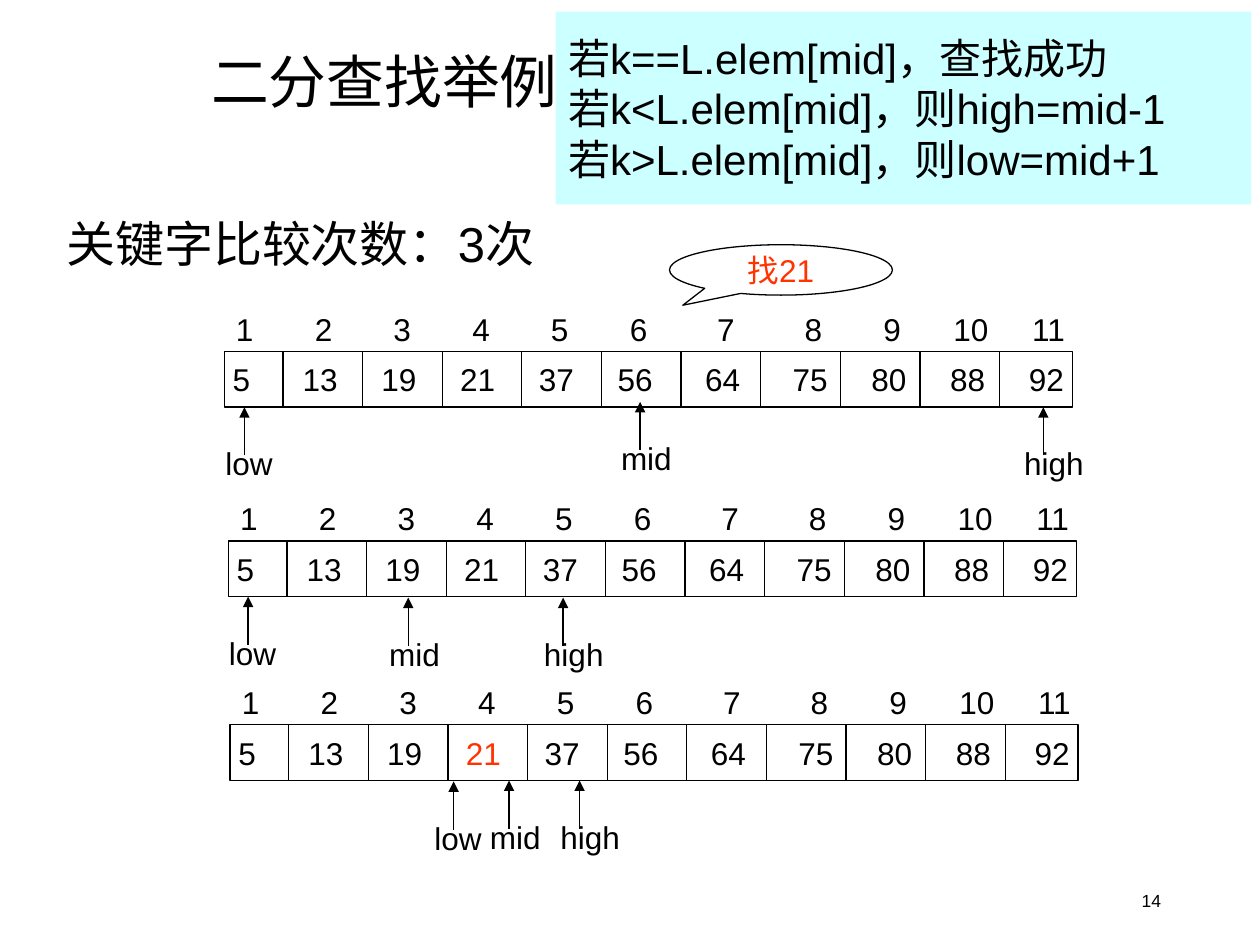
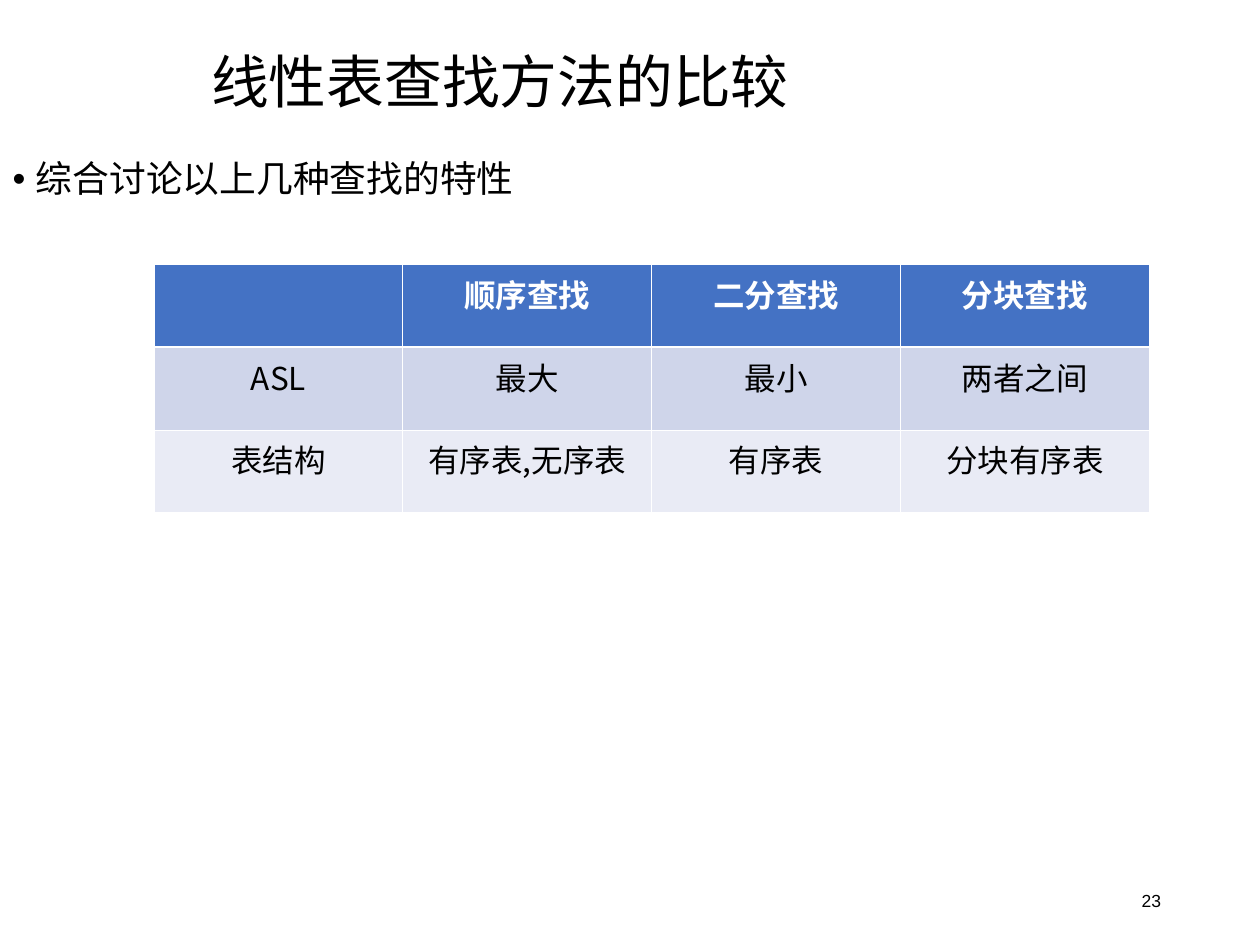
from itertools import accumulate
from lxml.etree import SubElement as Sub
from pptx import Presentation
from pptx.dml.color import RGBColor
from pptx.enum.shapes import MSO_CONNECTOR as Line, MSO_SHAPE as Kind
from pptx.enum.text import MSO_ANCHOR as Anchor, MSO_AUTO_SIZE as Auto, PP_ALIGN as Align
from pptx.oxml.ns import qn
from pptx.util import Pt

SANS, HAN = "Arial", "Noto Sans CJK SC"
BLACK, WHITE, RED, CYAN = "000000", "FFFFFF", "FF3300", "CCFFFF"
HEAD, BANDS = "4472C4", ("CFD5EA", "E9EBF5")

RULES = ["若k==L.elem[mid]，查找成功",
         "若k<L.elem[mid]，则high=mid-1",
         "若k>L.elem[mid]，则low=mid+1"]
KEYS = [5, 13, 19, 21, 37, 56, 64, 75, 80, 88, 92]
# Distance from each number to the next
INDEX_GAPS = [45] * 5 + [50, 50, 45, 40, 45]
KEY_GAPS = [40] + [45] * 4 + [50, 50, 45, 45, 45]
# Left, top, found key, then name, x and rise of each pointer
STEPS = [
    (128.2, 173.5, "", [("low", 139.7, 0), ("mid", 365.8, 3), ("high", 596.2, 0)]),
    (130.5, 281.8, "", [("low", 141.8, 0), ("mid", 233.3, -0.5), ("high", 321.8, -0.5)]),
    (131.5, 386.8, "21", [("low", 259.2, -0.5), ("mid", 290.9, 0), ("high", 331.2, 0)]),
]
WIDTHS = {"low": 41, "mid": 43.2, "high": 48.2}
ROW_W, ROW_H, ROW_DROP = 484.6, 31.8, 27.4
FIRST, PITCH = 33.5, 45.5

GRID = [["", "顺序查找", "二分查找", "分块查找"],
        ["ASL", "最大", "最小", "两者之间"],
        ["表结构", "有序表,无序表", "有序表", "分块有序表"]]


def rgb(code):
    return RGBColor.from_string(code)


def write(frame, text, size=18, font=SANS, color=BLACK, bold=False, align=Align.LEFT,
          mark="", tabs=(), bullet=0, space=1.0):
    """Fill a frame with a string or list of lines; mark turns red, bullet is its indent."""
    for i, words in enumerate([text] if isinstance(text, str) else text):
        par = frame.paragraphs[0] if i == 0 else frame.add_paragraph()
        par.alignment, par.line_spacing, par.space_before = align, space, Pt(0)
        props = par._p.get_or_add_pPr()
        if bullet:
            props.set("marL", str(Pt(bullet)))
            props.set("indent", str(-Pt(bullet)))
            Sub(props, qn("a:buFont"), typeface=SANS)
            Sub(props, qn("a:buChar"), char="•")
        if tabs:
            stops = Sub(props, qn("a:tabLst"))
            for stop in tabs:
                Sub(stops, qn("a:tab"), pos=str(Pt(stop)), algn="l")
        for part in words.partition(mark) if mark else [words]:
            if not part:
                continue
            run = par.add_run()
            run.text = part
            face = run.font
            face.size, face.bold = Pt(size), bold
            face.color.rgb = rgb(RED if part == mark else color)
            face.name = font
            Sub(run._r.get_or_add_rPr(), qn("a:ea"), typeface=font)


def place(shape, *box):
    shape.left, shape.top, shape.width, shape.height = map(Pt, box)


def label(shapes, box, text, right=7.2, anchor=Anchor.TOP, **look):
    """Add a text box; right is its right inset."""
    frame = shapes.add_textbox(*map(Pt, box)).text_frame
    frame.word_wrap, frame.vertical_anchor = True, anchor
    frame.margin_right = Pt(right)
    write(frame, text, **look)


def panel(shapes, kind, box, text, fill=None, edge=None, wrap=True, inset=7.2, **look):
    shape = shapes.add_shape(kind, *map(Pt, box))
    shape.shadow.inherit = False
    if fill:
        shape.fill.solid()
        shape.fill.fore_color.rgb = rgb(fill)
    else:
        shape.fill.background()
    if edge:
        shape.line.color.rgb = rgb(edge)
        shape.line.width = Pt(0.75)
    else:
        shape.line.fill.background()
    frame = shape.text_frame
    frame.word_wrap, frame.vertical_anchor = wrap, Anchor.MIDDLE
    frame.margin_left = frame.margin_right = Pt(inset)
    write(frame, text, **look)
    return shape


def rule(shapes, x, top, end, arrow=False):
    """Draw an upright line from top to end, with an arrowhead at end if asked."""
    line = shapes.add_connector(Line.STRAIGHT, Pt(x), Pt(top), Pt(x), Pt(end))
    line.line.color.rgb = rgb(BLACK)
    line.line.width = Pt(0.75)
    if arrow:
        Sub(line.line._get_or_add_ln(), qn("a:tailEnd"), type="triangle")
    Sub(line._element.spPr, qn("a:effectLst"))


def start(deck, layout, title, number):
    slide = deck.slides.add_slide(deck.slide_layouts[layout])
    place(slide.shapes.title, 113.4, 25.2, 606.6, 46.8)
    frame = slide.shapes.title.text_frame
    frame.auto_size, frame.vertical_anchor = Auto.NONE, Anchor.MIDDLE
    write(frame, title, size=33, font=HAN, space=0.9)
    label(slide.shapes, (508.5, 500.4, 162, 28.8), number, anchor=Anchor.MIDDLE,
          size=10, align=Align.RIGHT)
    return slide


def draw_step(slide, left, top, found, marks):
    shapes = slide.shapes.add_group_shape().shapes
    label(shapes, (left - 0.4, top, 489.6, 28.8), "\t".join(map(str, range(1, 12))),
          tabs=list(accumulate(INDEX_GAPS)))
    row = top + ROW_DROP
    base = row + ROW_H
    panel(shapes, Kind.RECTANGLE, (left, row, ROW_W, ROW_H), "\t".join(map(str, KEYS)),
          edge=BLACK, inset=4.7, mark=found, tabs=list(accumulate(KEY_GAPS)))
    for i in range(len(KEYS) - 1):
        rule(shapes, left + FIRST + i * PITCH, row, base)
    for name, x, rise in marks:
        tip = base - rise
        rule(shapes, x, tip + 27.6, tip, arrow=True)
        label(shapes, (x - 18, tip + 17.7, WIDTHS[name], 28.8), name, right=0)


def border(cell, side, width):
    line = Sub(cell._tc.get_or_add_tcPr(), qn("a:" + side), w=str(Pt(width)))
    Sub(Sub(line, qn("a:solidFill")), qn("a:srgbClr"), val=WHITE)


def draw_grid(slide):
    table = slide.shapes.add_table(3, 4, Pt(88), Pt(151.2), Pt(568.8), Pt(141.9)).table
    for r, words in enumerate(GRID):
        for c, text in enumerate(words):
            cell = table.cell(r, c)
            for side in ("lnL", "lnR", "lnT", "lnB"):
                thick = (r, side) in ((0, "lnB"), (1, "lnT"))
                border(cell, side, 1.47 if thick else 0.45)
            cell.fill.solid()
            cell.fill.fore_color.rgb = rgb(BANDS[r - 1] if r else HEAD)
            write(cell.text_frame, text, font=HAN, color=BLACK if r else WHITE,
                  bold=r == 0, align=Align.CENTER)


def main():
    deck = Presentation()
    deck.slide_width, deck.slide_height = Pt(720), Pt(540)

    search = start(deck, 5, "二分查找举例", "14")
    panel(search.shapes, Kind.RECTANGLE, (317.5, 6.7, 397.5, 110.2), RULES,
          fill=CYAN, size=24)
    for step in STEPS:
        draw_step(search, *step)
    bubble = panel(search.shapes, Kind.OVAL_CALLOUT, (382.6, 139.9, 127.4, 28.8), "找21",
                   edge=BLACK, wrap=False, color=RED, align=Align.CENTER)
    bubble.adjustments[0], bubble.adjustments[1] = -0.44, 0.7
    label(search.shapes, (30.8, 118.3, 296.6, 41), "关键字比较次数：3次", size=28)

    compare = start(deck, 1, "线性表查找方法的比较", "23")
    body = compare.placeholders[1]
    place(body, 0, 88.4, 646.6, 61.9)
    body.text_frame.auto_size = Auto.NONE
    write(body.text_frame, "综合讨论以上几种查找的特性", size=21, font=HAN,
          bullet=13.3, space=0.9)
    draw_grid(compare)
    deck.save("out.pptx")


if __name__ == "__main__":
    main()
